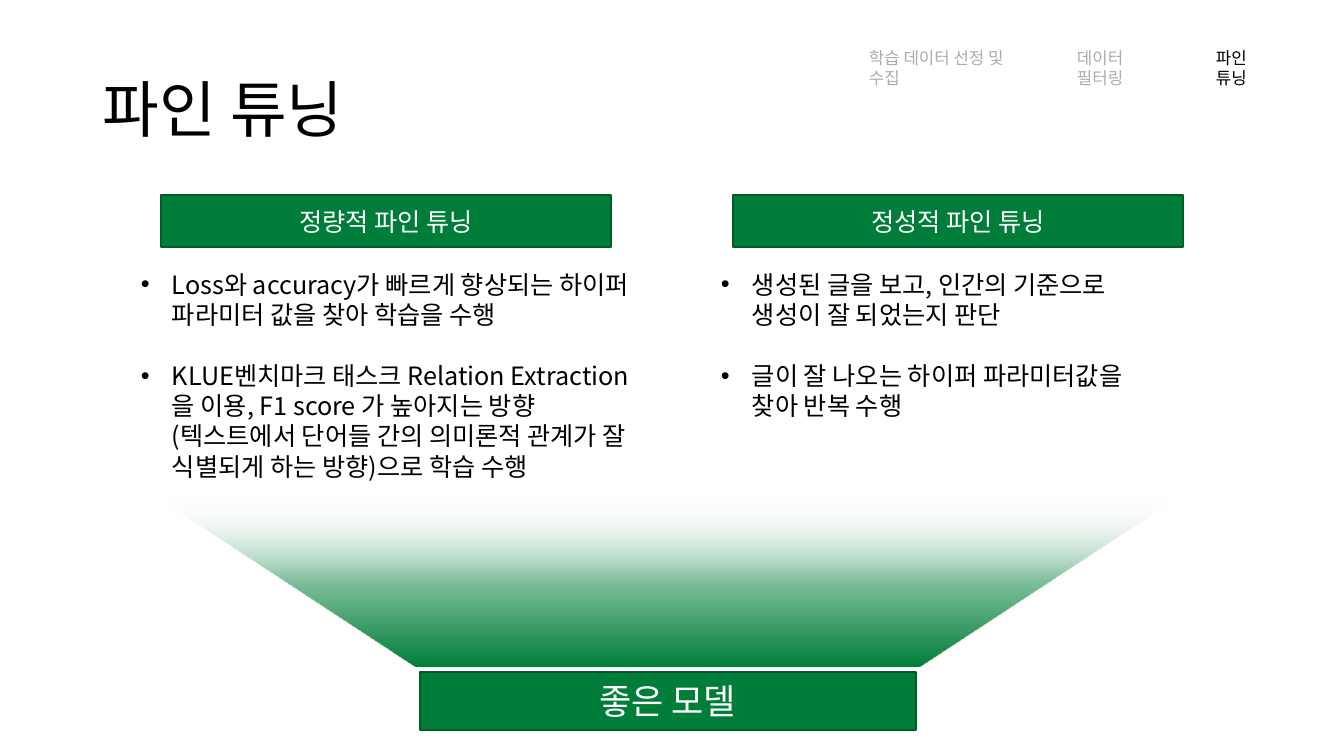
from pptx import Presentation
from pptx.dml.color import RGBColor
from pptx.enum.shapes import MSO_SHAPE as Shape
from pptx.enum.text import MSO_ANCHOR as Anchor, PP_ALIGN as Align
from pptx.oxml import parse_xml
from pptx.oxml.ns import nsdecls, qn
from pptx.util import Pt
from lxml.etree import SubElement

FONT = "Noto Sans CJK KR"
GREEN, EDGE, MID = "007E39", "005D2A", "80BF9C"
WHITE, BLACK, GRAY = "FFFFFF", "000000", "AFABAB"
PX = 914400 / 100.8

TITLE = "파인 튜닝"
# text, left, width, colour
STEPS = [
    ("학습 데이터 선정 및 수집", 859, 183, GRAY),
    ("데이터 필터링", 1067, 113, GRAY),
    ("파인 튜닝", 1206, 83, BLACK),
]
# heading, its left, bullets, their left, width and height
COLUMNS = [
    ("정량적 파인 튜닝", 161, [
        "Loss와 accuracy가 빠르게 향상되는 하이퍼 파라미터 값을 찾아 학습을 수행",
        "KLUE벤치마크 태스크 Relation Extraction을 이용, F1 score 가 높아지는 방향 "
        "(텍스트에서 단어들 간의 의미론적 관계가 잘 식별되게 하는 방향)으로 학습 수행",
    ], 131, 511, 224),
    ("정성적 파인 튜닝", 733, [
        "생성된 글을 보고, 인간의 기준으로 생성이 잘 되었는지 판단",
        "글이 잘 나오는 하이퍼 파라미터값을 찾아 반복 수행",
    ], 711, 472, 163),
]
RESULT = "좋은 모델"
FUNNEL = [(153, 495), (1182, 495), (919, 666), (416, 666)]


def emu(*sizes):
    """Turn pixels into EMU."""
    return [round(size * PX) for size in sizes]


def color(code):
    """Give the colour for a hex string."""
    return RGBColor.from_string(code)


def write(para, text, size, code):
    """Add one run to a paragraph."""
    run = para.add_run()
    run.text = text
    run.font.size = Pt(size)
    run.font.name = FONT
    run.font.color.rgb = color(code)
    SubElement(run._r.get_or_add_rPr(), qn("a:ea")).set("typeface", FONT)


def frame(left, top, width, height):
    """Add a wrapping text box and return its text frame."""
    box = slide.shapes.add_textbox(*emu(left, top, width, height))
    box.text_frame.word_wrap = True
    return box.text_frame


def bar(text, size, *place):
    """Add a green bar with centred text."""
    shape = slide.shapes.add_shape(Shape.RECTANGLE, *emu(*place))
    shape.shadow.inherit = False
    shape.fill.solid()
    shape.fill.fore_color.rgb = color(GREEN)
    shape.line.color.rgb = color(EDGE)
    shape.line.width = Pt(1)
    shape.text_frame.vertical_anchor = Anchor.MIDDLE
    para = shape.text_frame.paragraphs[0]
    para.alignment = Align.CENTER
    write(para, text, size, WHITE)


def bullets(items, *place):
    """Add a bulleted list."""
    body = frame(*place)
    for i, item in enumerate(items):
        para = body.add_paragraph() if i else body.paragraphs[0]
        if i:
            para.space_before = Pt(22)
        props = para._p.get_or_add_pPr()
        indent = emu(31)[0]
        props.set("marL", str(indent))
        props.set("indent", str(-indent))
        SubElement(props, qn("a:buFont")).set("typeface", "Arial")
        SubElement(props, qn("a:buChar")).set("char", "•")
        write(para, item, 18, BLACK)


def funnel(points):
    """Add the outline that fades from clear to green."""
    maker = slide.shapes.build_freeform(*points[0], scale=PX)
    maker.add_line_segments(points[1:], close=True)
    shape = maker.convert_to_shape()
    shape.shadow.inherit = False
    shape.line.fill.background()
    stops = [(0, WHITE, 0), (50, MID, 100), (100, GREEN, 100)]
    marks = "".join(
        f'<a:gs pos="{pos * 1000}"><a:srgbClr val="{code}">'
        f'<a:alpha val="{alpha * 1000}"/></a:srgbClr></a:gs>'
        for pos, code, alpha in stops)
    grad = parse_xml(
        f'<a:gradFill {nsdecls("a")} rotWithShape="1"><a:gsLst>{marks}</a:gsLst>'
        '<a:lin ang="5400000" scaled="0"/></a:gradFill>')
    shape._element.spPr.find(qn("a:custGeom")).addnext(grad)


deck = Presentation()
deck.slide_width, deck.slide_height = emu(1344, 756)
slide = deck.slides.add_slide(deck.slide_layouts[6])

head = frame(93, 40, 1159, 146)
head.vertical_anchor = Anchor.MIDDLE
head.paragraphs[0].line_spacing = 0.9
write(head.paragraphs[0], TITLE, 44, BLACK)

for name, left, items, start, width, height in COLUMNS:
    bar(name, 18, left, 195, 450, 52)
    bullets(items, start, 264, width, height)

funnel(FUNNEL)
bar(RESULT, 25, 420, 672, 496, 58)

for name, left, width, code in STEPS:
    write(frame(left, 43, width, 30).paragraphs[0], name, 12, code)

deck.save("out.pptx")
